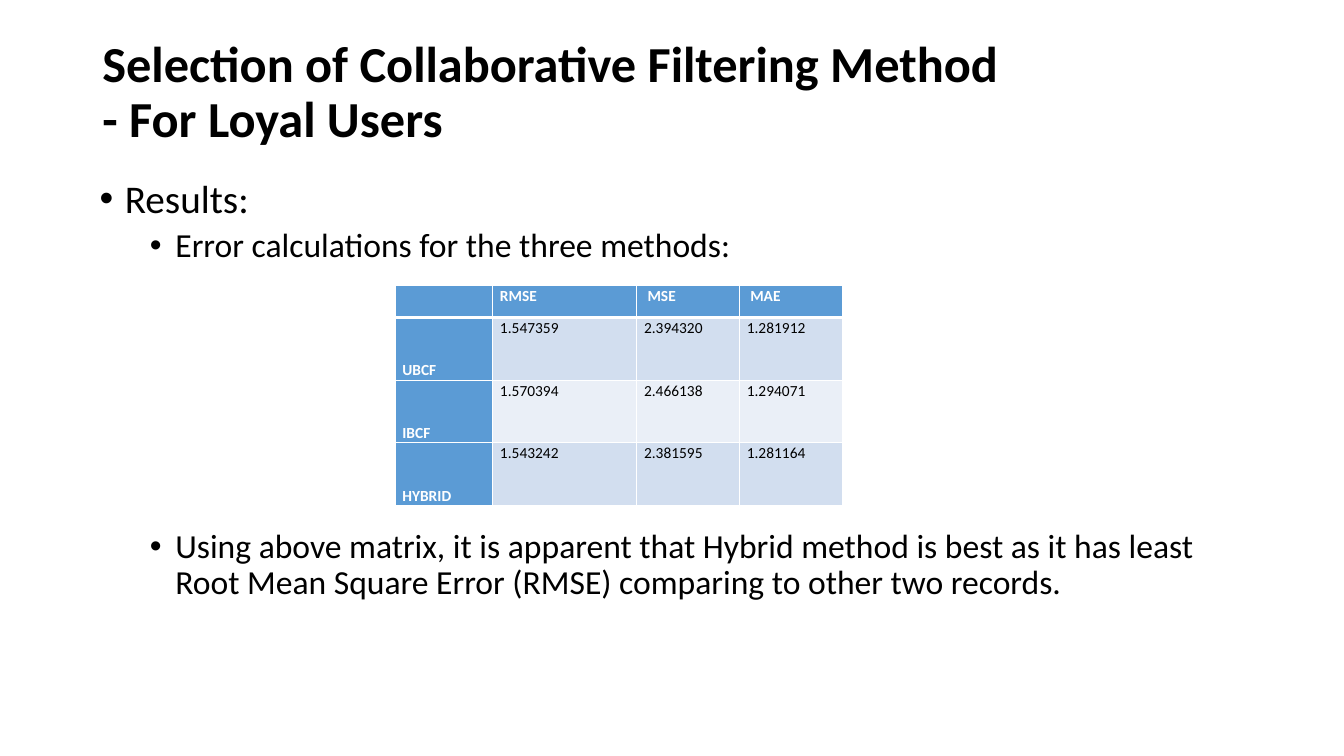
from dataclasses import dataclass

from lxml import etree
from pptx import Presentation
from pptx.dml.color import RGBColor
from pptx.enum.text import MSO_ANCHOR
from pptx.oxml.ns import qn
from pptx.util import Cm, Pt

TOP, MIDDLE, BOTTOM = MSO_ANCHOR.TOP, MSO_ANCHOR.MIDDLE, MSO_ANCHOR.BOTTOM
BLANK_LAYOUT = 6


@dataclass(frozen=True)
class Theme:
    font: str = "Calibri"
    ink: str = "000000"
    white: str = "FFFFFF"
    accent: str = "5B9BD5"
    bands: tuple = ("D2DEEF", "EAEFF7")
    title_size: int = 36
    body_size: int = 28
    detail_size: int = 24
    table_size: int = 11


def write(para, text, *, theme, size, color, bold=False, spacing=0.9, before=0, after=0):
    para.line_spacing = spacing
    para.space_before, para.space_after = Pt(before), Pt(after)
    span = para.add_run()
    span.text = text
    span.font.name, span.font.size, span.font.bold = theme.font, Pt(size), bold
    span.font.color.rgb = RGBColor.from_string(color)


def add_bullet(para, indent):
    """Give the paragraph a hanging bullet; indent is the text's left edge in cm."""
    props = para._p.get_or_add_pPr()
    props.set("marL", str(Cm(indent)))
    props.set("indent", str(-Cm(0.64)))
    etree.SubElement(props, qn("a:buFont")).set("typeface", "Arial")
    etree.SubElement(props, qn("a:buChar")).set("char", "•")


def add_borders(cell, color, bottom):
    props = cell._tc.get_or_add_tcPr()
    for side, width in (("L", 1), ("R", 1), ("T", 1), ("B", bottom)):
        line = etree.SubElement(props, qn(f"a:ln{side}"), w=str(Pt(width)))
        fill = etree.SubElement(line, qn("a:solidFill"))
        etree.SubElement(fill, qn("a:srgbClr"), val=color)


class SlideBuilder:
    def __init__(self, page, theme):
        self.page = page
        self.theme = theme

    def frame(self, left, top, width, height, anchor):
        box = self.page.shapes.add_textbox(Cm(left), Cm(top), Cm(width), Cm(height))
        frame = box.text_frame
        frame.word_wrap = True
        frame.vertical_anchor = anchor
        return frame

    def title(self, lines, *place):
        frame = self.frame(*place, MIDDLE)
        frame.margin_bottom = Cm(1.52)
        for index, line in enumerate(lines):
            para = frame.paragraphs[0] if index == 0 else frame.add_paragraph()
            write(para, line, theme=self.theme, size=self.theme.title_size,
                  color=self.theme.ink, bold=True)

    def bullets(self, items, *place):
        """Each item is its text, type size, indent in cm and space before in points."""
        frame = self.frame(*place, TOP)
        for index, (text, size, indent, before) in enumerate(items):
            para = frame.paragraphs[0] if index == 0 else frame.add_paragraph()
            write(para, text, theme=self.theme, size=size,
                  color=self.theme.ink, before=before)
            add_bullet(para, indent)

    def table(self, rows, left, top, widths, heights):
        table = self.page.shapes.add_table(
            len(rows), len(widths), Cm(left), Cm(top),
            Cm(sum(widths)), Cm(sum(heights))).table
        for column, width in zip(table.columns, widths):
            column.width = Cm(width)
        for row, height in zip(table.rows, heights):
            row.height = Cm(height)
        for r, values in enumerate(rows):
            for c, text in enumerate(values):
                self.cell(table.cell(r, c), text, r, c)

    def cell(self, cell, text, r, c):
        theme = self.theme
        heading = r == 0 or c == 0
        add_borders(cell, theme.white, bottom=3 if r == 0 else 1)
        cell.fill.solid()
        color = theme.accent if heading else theme.bands[(r - 1) % 2]
        cell.fill.fore_color.rgb = RGBColor.from_string(color)
        cell.margin_left = cell.margin_right = Cm(0.18)
        cell.margin_top = cell.margin_bottom = 0
        cell.vertical_anchor = BOTTOM if r and c == 0 else TOP
        if text:
            write(cell.text_frame.paragraphs[0], text, theme=theme,
                  size=theme.table_size, color=theme.white if heading else theme.ink,
                  bold=heading, spacing=1.07, after=8 if c else 0)


def main():
    deck = Presentation()
    deck.slide_width, deck.slide_height = Cm(33.87), Cm(19.05)
    page = deck.slides.add_slide(deck.slide_layouts[BLANK_LAYOUT])
    theme = Theme()
    builder = SlideBuilder(page, theme)

    builder.title(["Selection of Collaborative Filtering Method", "- For Loyal Users"],
                  2.33, 1.22, 29.21, 3.68)
    builder.bullets([
        ("Results:", theme.body_size, 0.64, 0),
        ("Error calculations for the three methods:", theme.detail_size, 1.91, 5),
        ("Using above matrix, it is apparent that Hybrid method is best as it has least "
         "Root Mean Square Error (RMSE) comparing to other two records.",
         theme.detail_size, 1.91, 189),
    ], 2.26, 4.39, 29.21, 12.09)
    builder.table([
        ("", "RMSE", " MSE", " MAE"),
        ("UBCF", "1.547359", "2.394320", "1.281912"),
        ("IBCF", "1.570394", "2.466138", "1.294071"),
        ("HYBRID", "1.543242", "2.381595", "1.281164"),
    ], 9.96, 7.19, widths=(2.46, 3.63, 2.59, 2.59), heights=(0.81, 1.58, 1.58, 1.58))

    deck.save("out.pptx")


if __name__ == "__main__":
    main()
